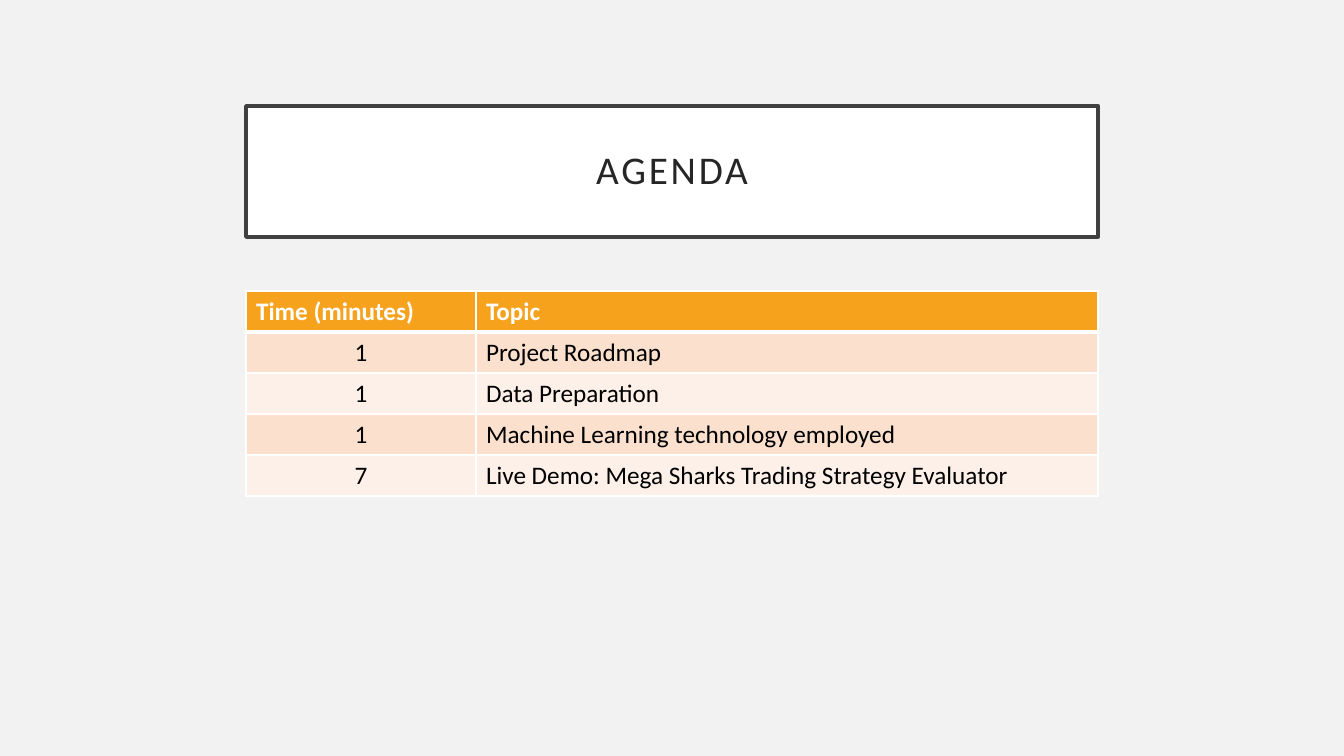
from lxml.etree import SubElement
from pptx import Presentation
from pptx.dml.color import RGBColor
from pptx.enum.shapes import MSO_SHAPE as Shape
from pptx.enum.text import MSO_ANCHOR as Anchor, PP_ALIGN as Align
from pptx.oxml.ns import qn
from pptx.util import Pt

WHITE = RGBColor(0xFF, 0xFF, 0xFF)
BLACK = RGBColor(0x00, 0x00, 0x00)
BACKGROUND = RGBColor(0xF2, 0xF2, 0xF2)
FRAME = RGBColor(0x40, 0x40, 0x40)
TITLE = RGBColor(0x26, 0x26, 0x26)
HEADER = RGBColor(0xF6, 0xA2, 0x1D)
BANDS = (RGBColor(0xFD, 0xF0, 0xE8), RGBColor(0xFB, 0xE0, 0xCD))

AGENDA = [
    ("Time (minutes)", "Topic"),
    ("1", "Project Roadmap"),
    ("1", "Data Preparation"),
    ("1", "Machine Learning technology employed"),
    ("7", "Live Demo: Mega Sharks Trading Strategy Evaluator"),
]


def px(length):
    return round(length * 914400 / 100.8)


class AgendaSlide:
    font = "Calibri"

    def __init__(self, presentation):
        self.slide = presentation.slides.add_slide(presentation.slide_layouts[6])
        fill = self.slide.background.fill
        fill.solid()
        fill.fore_color.rgb = BACKGROUND

    def add_run(self, paragraph, text, size, color, bold=False, spacing=0):
        run = paragraph.add_run()
        run.text = text
        run.font.name = self.font
        run.font.size = Pt(size)
        run.font.bold = bold
        run.font.color.rgb = color
        if spacing:
            run.font._element.set("spc", str(spacing * 100))

    def add_title(self, text, left, top, width, height):
        shape = self.slide.shapes.add_shape(
            Shape.RECTANGLE, px(left), px(top), px(width), px(height))
        shape.shadow.inherit = False
        shape.fill.solid()
        shape.fill.fore_color.rgb = WHITE
        shape.line.color.rgb = FRAME
        shape.line.width = Pt(2.5)
        frame = shape.text_frame
        frame.word_wrap = True
        frame.vertical_anchor = Anchor.MIDDLE
        frame.margin_left = frame.margin_right = px(20)
        frame.margin_top = frame.margin_bottom = px(20)
        paragraph = frame.paragraphs[0]
        paragraph.alignment = Align.CENTER
        paragraph.line_spacing = 0.9
        self.add_run(paragraph, text, 28, TITLE, spacing=2)

    def add_borders(self, cell, top, bottom):
        properties = cell._tc.get_or_add_tcPr()
        for side, width in (("L", 1), ("R", 1), ("T", top), ("B", bottom)):
            line = SubElement(properties, qn(f"a:ln{side}"), w=str(Pt(width)))
            fill = SubElement(line, qn("a:solidFill"))
            SubElement(fill, qn("a:srgbClr"), val=str(WHITE))

    def add_table(self, rows, left, top, widths, row_height):
        table = self.slide.shapes.add_table(
            len(rows), len(widths), px(left), px(top),
            px(sum(widths)), px(row_height * len(rows))).table
        for column, width in zip(table.columns, widths):
            column.width = px(width)
        for row_index, texts in enumerate(rows):
            table.rows[row_index].height = px(row_height)
            header = row_index == 0
            for column_index, text in enumerate(texts):
                cell = table.cell(row_index, column_index)
                self.add_borders(cell, 3 if row_index == 1 else 1, 3 if header else 1)
                cell.fill.solid()
                cell.fill.fore_color.rgb = HEADER if header else BANDS[row_index % 2]
                paragraph = cell.text_frame.paragraphs[0]
                if column_index == 0 and not header:
                    paragraph.alignment = Align.CENTER
                self.add_run(paragraph, text, 18, WHITE if header else BLACK, bold=header)


def main():
    presentation = Presentation()
    presentation.slide_width = px(1344)
    presentation.slide_height = px(756)
    agenda = AgendaSlide(presentation)
    agenda.add_title("AGENDA", 246, 106, 852, 131)
    agenda.add_table(AGENDA, 246, 291, (230, 622), 41)
    presentation.save("out.pptx")


if __name__ == "__main__":
    main()
